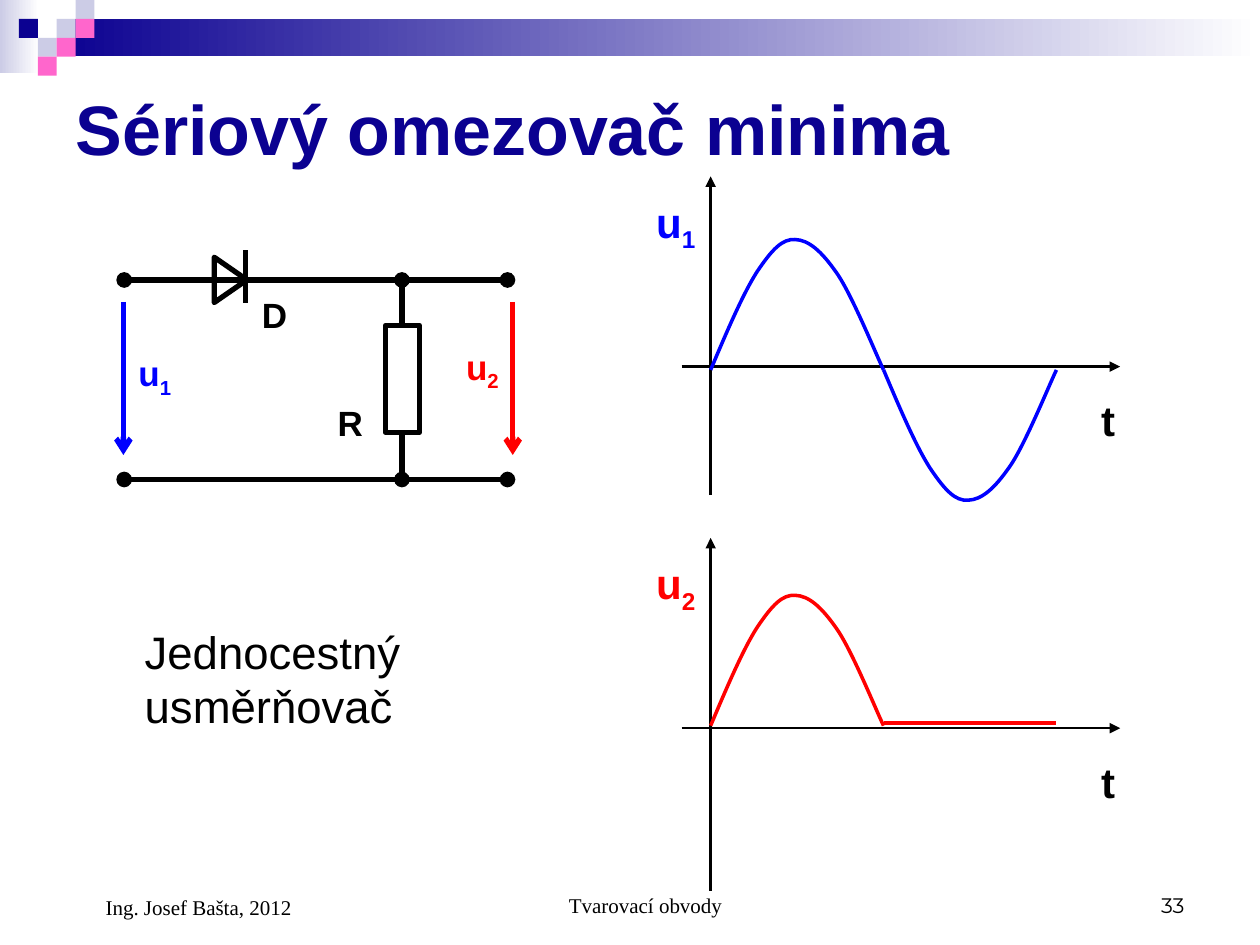
from dataclasses import dataclass

from lxml.etree import SubElement
from pptx import Presentation
from pptx.dml.color import RGBColor
from pptx.enum.shapes import MSO_CONNECTOR, MSO_SHAPE
from pptx.enum.text import MSO_ANCHOR, MSO_AUTO_SIZE, PP_ALIGN
from pptx.oxml.ns import qn
from pptx.util import Pt


@dataclass(frozen=True)
class Theme:
    """Colours, fonts and sizes of the slide."""
    navy: str = "0B0191"
    lavender: str = "CCCCE6"
    pink: str = "FF66CC"
    white: str = "FFFFFF"
    black: str = "000000"
    input_blue: str = "0000FF"
    output_red: str = "FF0000"
    sans: str = "Arial"
    serif: str = "Times New Roman"
    number: str = "Montserrat"
    title_size: int = 40
    note_size: int = 26
    axis_size: int = 24
    part_size: int = 20
    footer_size: int = 12
    wire: float = 3
    curve: float = 2
    axis: float = 1.5


THEME = Theme()
HALF_WAVE = [(9.4, 22.3), (18.7, 43.9), (26.6, 56.2),
             (35.3, 69.1), (41, 74.9), (48.2, 74.5),
             (56.2, 74.2), (63.4, 67.7), (72, 55.4),
             (80.6, 43.2), (94.3, 9.4), (98.8, 0)]
PERIOD_HALF = HALF_WAVE[-1][0]


def rgb(colour):
    """Turn a hex string into a colour."""
    return RGBColor.from_string(colour)


def set_font(font, size, colour, name=THEME.sans, bold=False):
    """Apply the given look to a font."""
    font.size, font.name, font.bold = Pt(size), name, bold
    font.color.rgb = rgb(colour)


def add_label(slide, box, text, size, colour, subscript="", name=THEME.sans, bold=True,
              align=PP_ALIGN.LEFT, anchor=MSO_ANCHOR.TOP, margin=0):
    """Place one paragraph of text with an optional subscript."""
    frame = slide.shapes.add_textbox(*map(Pt, box)).text_frame
    frame.word_wrap, frame.vertical_anchor = True, anchor
    paragraph = frame.paragraphs[0]
    paragraph.alignment = align
    paragraph._p.get_or_add_pPr().set("marL", str(Pt(margin)))
    set_font(paragraph.font, size, colour, name, bold)
    paragraph.add_run().text = text
    if subscript:
        index = paragraph.add_run()
        index.text = subscript
        index.font._element.set("baseline", "-25000")


def add_line(slide, start, end, colour, width, head=None, tail=None):
    """Draw a straight line with optional end marks."""
    line = slide.shapes.add_connector(MSO_CONNECTOR.STRAIGHT, *map(Pt, (*start, *end)))
    line.line.color.rgb, line.line.width = rgb(colour), Pt(width)
    outline = line.line._get_or_add_ln()
    for tag, mark in (("a:headEnd", head), ("a:tailEnd", tail)):
        if mark:
            SubElement(outline, qn(tag), type=mark)
    SubElement(line._element.spPr, qn("a:effectLst"))


def add_block(slide, kind, box, fill=None, outline=None, fade=False):
    """Draw a preset shape with a plain, fading or absent fill."""
    block = slide.shapes.add_shape(kind, *map(Pt, box))
    block.shadow.inherit = False
    if fade:
        block.fill.gradient()
        block.fill.gradient_angle = 0
        for stop, colour in zip(block.fill.gradient_stops, (fill, THEME.white)):
            stop.color.rgb = rgb(colour)
    elif fill:
        block.fill.solid()
        block.fill.fore_color.rgb = rgb(fill)
    else:
        block.fill.background()
    if outline:
        block.line.color.rgb, block.line.width = rgb(outline), Pt(THEME.wire)
    else:
        block.line.fill.background()
    return block


def add_half_wave(slide, x, y, colour, direction):
    """Draw half a sine period upwards (1) or downwards (-1)."""
    builder = slide.shapes.build_freeform(Pt(x), Pt(y))
    builder.add_line_segments(
        [(Pt(x + dx), Pt(y - direction * dy)) for dx, dy in HALF_WAVE], close=False)
    wave = builder.convert_to_shape()
    wave.shadow.inherit = False
    wave.fill.background()
    wave.line.color.rgb, wave.line.width = rgb(colour), Pt(THEME.curve)
    segments = list(wave._element.iter(qn("a:lnTo")))
    outline = segments[0].getparent()
    for first in range(0, len(segments), 3):
        bezier = SubElement(outline, qn("a:cubicBezTo"))
        for segment in segments[first:first + 3]:
            bezier.append(segment[0])
            outline.remove(segment)


def add_banner(slide, left, top, width):
    """Draw the fading bar and the mosaic of squares."""
    tile = 10.8
    add_block(slide, MSO_SHAPE.RECTANGLE, (left, top, 22.3, 41.8), THEME.lavender, fade=True)
    add_block(slide, MSO_SHAPE.RECTANGLE, (left + 3 * tile, top + tile, width - 3 * tile, 21.4),
              THEME.navy, fade=True)
    mosaic = [(3, 1, THEME.lavender), (4, 0, THEME.lavender), (4, 1, THEME.pink),
              (2, 2, THEME.lavender), (1, 1, THEME.navy), (3, 2, THEME.pink), (2, 3, THEME.pink)]
    for column, row, colour in mosaic:
        add_block(slide, MSO_SHAPE.RECTANGLE,
                  (left + column * tile, top + row * tile, tile, tile), colour)


def add_title(slide, left, top, width, height):
    """Fill and format the title placeholder."""
    title = slide.shapes.title
    title.left, title.top, title.width, title.height = map(Pt, (left, top, width, height))
    frame = title.text_frame
    frame.text = "Sériový omezovač minima"
    frame.vertical_anchor, frame.auto_size = MSO_ANCHOR.MIDDLE, MSO_AUTO_SIZE.NONE
    frame.paragraphs[0].alignment = PP_ALIGN.LEFT
    set_font(frame.paragraphs[0].font, THEME.title_size, THEME.navy, bold=True)


def add_circuit(slide, left, top, width, height):
    """Draw the diode and resistor circuit with its voltages."""
    upper, lower, branch = top + 17, top + height, left + 158.7
    add_line(slide, (left + width, lower), (left, lower), THEME.black, THEME.wire, "oval", "oval")
    add_line(slide, (branch, lower), (branch, upper), THEME.black, THEME.wire, "oval", "oval")
    add_line(slide, (left + width, upper), (left, upper), THEME.black, THEME.wire, "oval", "oval")
    diode = add_block(slide, MSO_SHAPE.ISOSCELES_TRIANGLE,
                      (left + 47.8, upper - 9.4, 25.9, 18.7), outline=THEME.black)
    diode.rotation = 90
    add_line(slide, (left + 69.5, top + 30), (left + 69.5, top), THEME.black, THEME.wire)
    add_block(slide, MSO_SHAPE.RECTANGLE, (branch - 9.5, top + 43, 19.5, 61),
              THEME.white, THEME.black)
    for x, colour in ((left - 0.5, THEME.input_blue), (left + width + 3, THEME.output_red)):
        add_line(slide, (x, top + 29.5), (x, top + 117), colour, THEME.wire, tail="arrow")
    for x, y, text, subscript, colour in (
            (1, 54.3, "u", "1", THEME.input_blue), (188.2, 50.7, "u", "2", THEME.output_red),
            (114.8, 83, "R", "", THEME.black), (71.6, 21.2, "D", "", THEME.black)):
        add_label(slide, (left + x, top + y, 40, 33), text, THEME.part_size, colour, subscript)


def add_waveform(slide, left, top, width, height, subscript, colour, start, rectified):
    """Draw the axes and one period of a full or rectified wave."""
    time_axis, origin = top + 108.7, left + 16.6
    add_line(slide, (left, time_axis), (left + width, time_axis), THEME.black, THEME.axis,
             tail="triangle")
    add_line(slide, (origin, top + height), (origin, top), THEME.black, THEME.axis,
             tail="triangle")
    add_label(slide, (left - 21.6, top + 7.9, 40.3, 40.3), "u", THEME.axis_size, colour, subscript)
    add_label(slide, (left + 232.6, top + 121.2, 40.3, 36), "t", THEME.axis_size, THEME.black)
    add_half_wave(slide, origin, top + start, colour, 1)
    middle = origin + PERIOD_HALF
    if rectified:
        level = top + start - 1.5
        add_line(slide, (middle, level), (middle + PERIOD_HALF, level), colour, THEME.curve)
    else:
        add_half_wave(slide, middle, top + start, colour, -1)


def add_footer(slide, left, top, width, height):
    """Place the author, the subject and the page number."""
    for x, wide, tall, text, align, name, margin in (
            (0, 167.8, height + 1.4, "Ing. Josef Bašta, 2012", PP_ALIGN.LEFT, THEME.serif, 17.3),
            (210.2, 228.2, height, "Tvarovací obvody", PP_ALIGN.CENTER, THEME.serif, 17.3),
            (width - 167.8, 167.8, height, "33", PP_ALIGN.RIGHT, THEME.number, 0)):
        add_label(slide, (left + x, top, wide, tall), text, THEME.footer_size, THEME.black,
                  name=name, bold=False, align=align, anchor=MSO_ANCHOR.BOTTOM, margin=margin)


def main():
    """Build the slide and save it."""
    deck = Presentation()
    deck.slide_width, deck.slide_height = Pt(720), Pt(540)
    slide = deck.slides.add_slide(deck.slide_layouts[5])
    add_banner(slide, 0, 0, 720)
    add_title(slide, 36, 36, 648, 74)
    add_waveform(slide, 389.5, 100.8, 250.6, 182.2, "1", THEME.input_blue, 110.6, False)
    add_label(slide, (75.6, 352.8, 275, 70), "Jednocestný usměrňovač", THEME.note_size,
              THEME.black, bold=False)
    add_waveform(slide, 389.5, 307.4, 250.6, 201.6, "2", THEME.output_red, 107.3, True)
    add_circuit(slide, 71, 143, 219, 131)
    add_footer(slide, 36, 491.8, 648, 36)
    deck.save("out.pptx")


if __name__ == "__main__":
    main()
